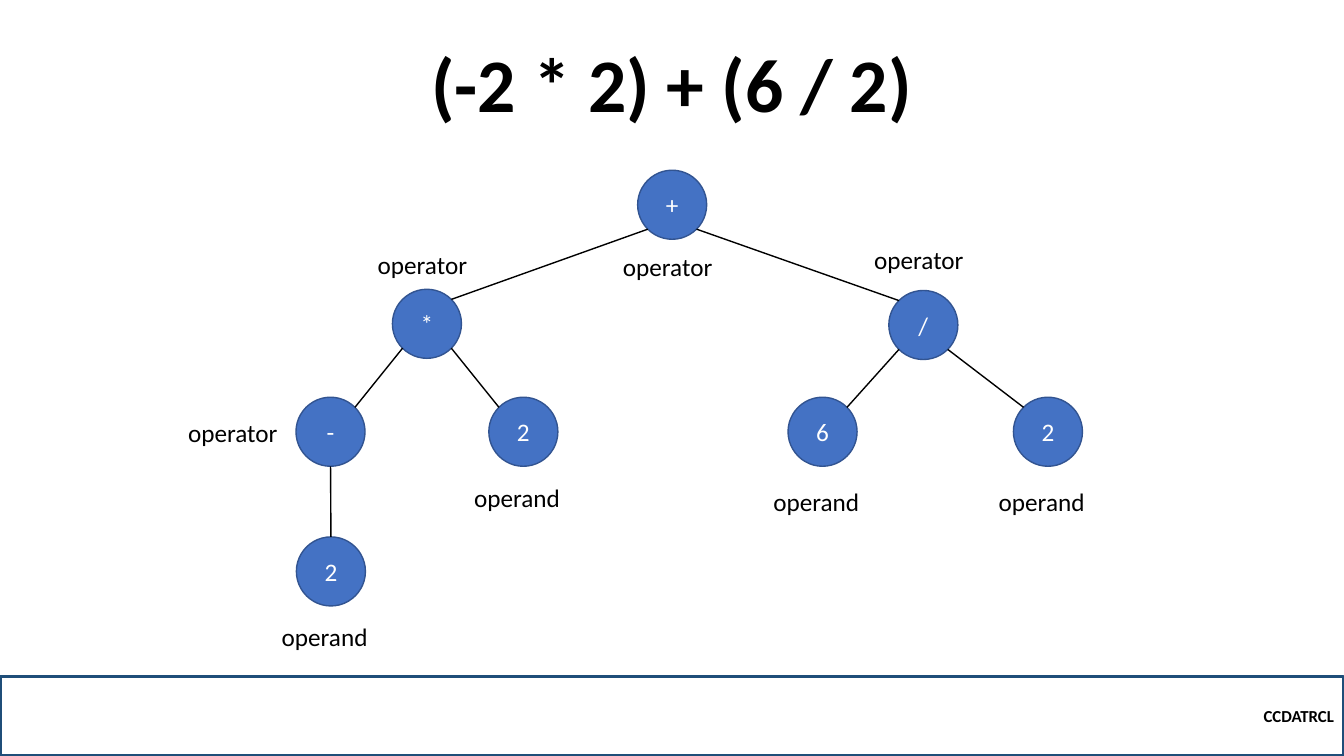
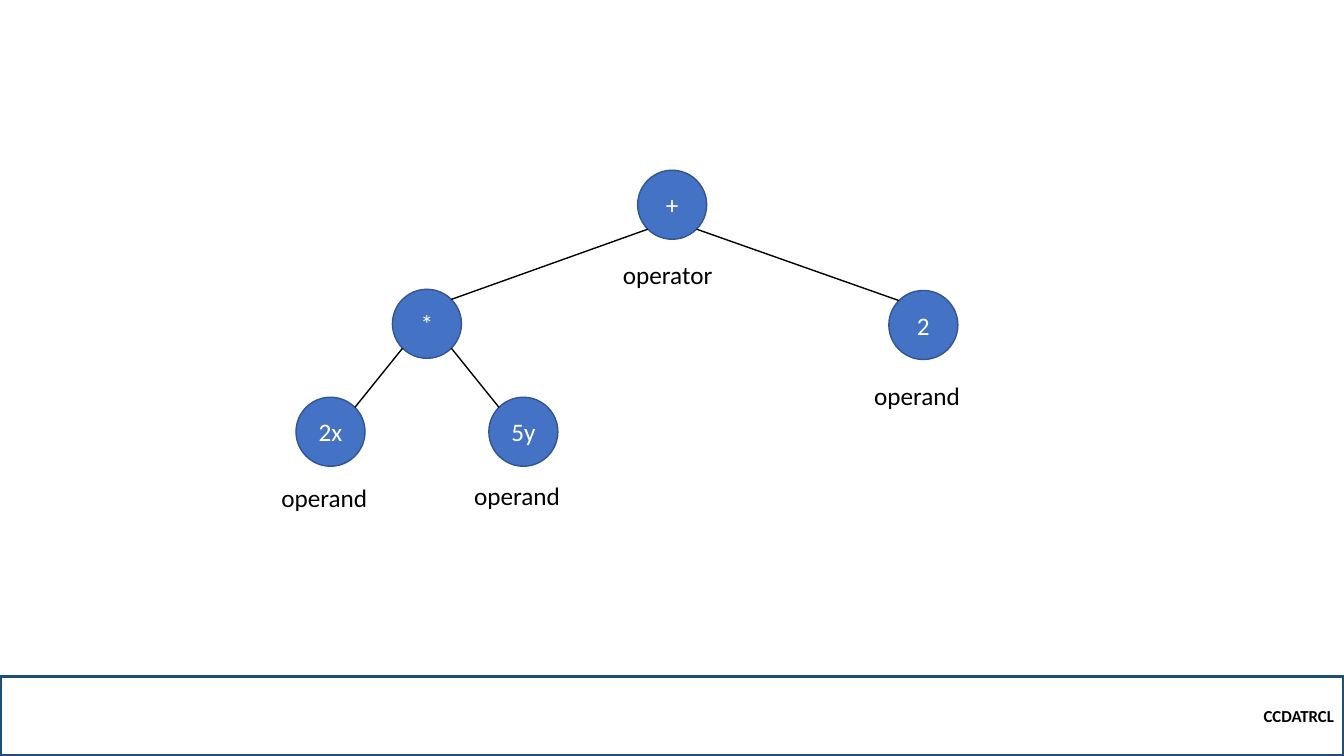
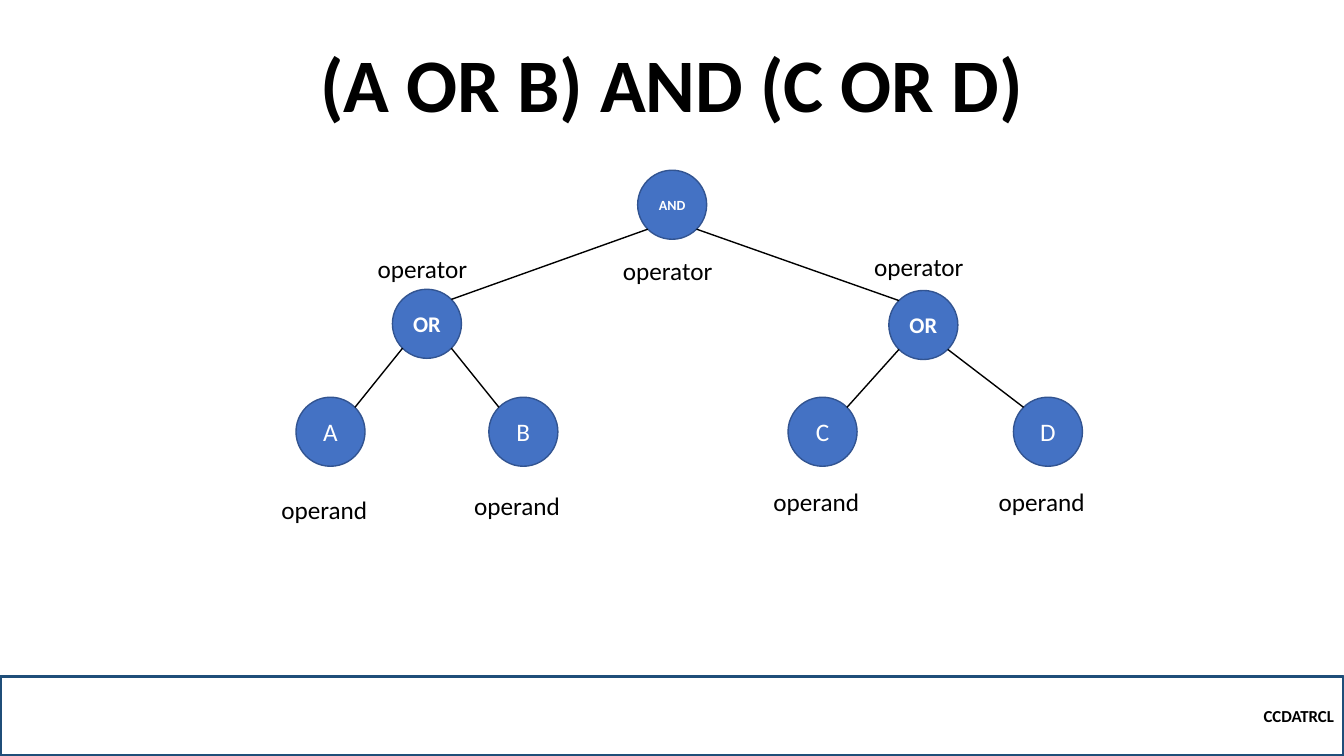
from lxml import etree
from pptx import Presentation
from pptx.dml.color import RGBColor
from pptx.enum import shapes, text
from pptx.oxml.ns import qn
from pptx.util import Cm, Pt

COLORS = {"ink": "000000", "node": "4472C4", "edge": "325491", "band": "1F4E79", "light": "FFFFFF"}
FONT = "Calibri"
FOOTER = "CCDATRCL"
WIDTH, HEIGHT = 33.87, 19.05
BAND_HEIGHT = 2.01
DIAMETER = 1.74
LABEL_WIDTH, LABEL_HEIGHT = 2.97, 1.03
LABEL_SHIFT = -0.62
BESIDE_SHIFT = -LABEL_WIDTH

SPOTS = {
    "root": (16.07, 4.29),
    "left": (9.89, 7.29),
    "right": (22.4, 7.32),
    "left left": (7.46, 10.01),
    "left right": (12.32, 10.01),
    "right left": (19.86, 10.01),
    "right right": (25.54, 10.01),
    "left left only": (7.47, 13.53),
}
SIZES = {"AND": 10, "OR": 16}

TREES = [
    {
        "title": "(-2 * 2) + (6 / 2)",
        "nodes": [
            ("root", "+", "operator", 6.22),
            ("left", "*", "operator", 6.15),
            ("right", "/", "operator", 6.02),
            ("left left", "-", "operator", 10.39),
            ("left right", "2", "operand", 12.04),
            ("right left", "6", "operand", 12.13),
            ("right right", "2", "operand", 12.13),
            ("left left only", "2", "operand", 15.52),
        ],
        "beside": "left left",
    },
    {
        "nodes": [
            ("root", "+", "operator", 6.4),
            ("left", "*", None, None),
            ("right", "2", "operand", 9.47),
            ("left left", "2x", "operand", 12.04),
            ("left right", "5y", "operand", 11.99),
        ],
    },
    {
        "title": "(A OR B) AND (C OR D)",
        "nodes": [
            ("root", "AND", "operator", 6.32),
            ("left", "OR", "operator", 6.25),
            ("right", "OR", "operator", 6.22),
            ("left left", "A", "operand", 12.34),
            ("left right", "B", "operand", 12.22),
            ("right left", "C", "operand", 12.12),
            ("right right", "D", "operand", 12.12),
        ],
    },
]


def color(name):
    return RGBColor.from_string(COLORS[name])


def write(shape, words, size, ink="ink", bold=False, align=text.PP_ALIGN.LEFT,
          anchor=text.MSO_ANCHOR.MIDDLE):
    frame = shape.text_frame
    frame.word_wrap = True
    frame.vertical_anchor = anchor
    paragraph = frame.paragraphs[0]
    paragraph.text = words
    paragraph.alignment = align
    font = paragraph.font
    font.name, font.size, font.bold = FONT, Pt(size), bold
    font.color.rgb = color(ink)
    return paragraph


def add_box(slide, kind, box, line, width):
    shape = slide.shapes.add_shape(kind, *map(Cm, box))
    shape.shadow.inherit = False
    shape.line.color.rgb = color(line)
    shape.line.width = Pt(width)
    return shape


def add_title(slide, words):
    title = slide.shapes.add_textbox(Cm(4.23), Cm(1.37), Cm(25.4), Cm(2.01))
    paragraph = write(title, words, 54, bold=True, align=text.PP_ALIGN.CENTER,
                      anchor=text.MSO_ANCHOR.BOTTOM)
    paragraph.line_spacing = 0.9


def add_footer(slide):
    box = (0, HEIGHT - BAND_HEIGHT, WIDTH, BAND_HEIGHT)
    band = add_box(slide, shapes.MSO_SHAPE.RECTANGLE, box, "band", 2.25)
    band.fill.background()
    write(band, FOOTER, 12, bold=True, align=text.PP_ALIGN.RIGHT)


def add_node(slide, spot, words):
    node = add_box(slide, shapes.MSO_SHAPE.OVAL, (*SPOTS[spot], DIAMETER, DIAMETER), "edge", 1)
    node.fill.solid()
    node.fill.fore_color.rgb = color("node")
    frame = node.text_frame
    frame.margin_left = frame.margin_right = 0
    write(node, words, SIZES.get(words, 18), "light", words in SIZES, text.PP_ALIGN.CENTER)


def rim_point(spot, across, down):
    left, top = SPOTS[spot]
    reach = DIAMETER / 2 * (0.5 ** 0.5 if across else 1)
    return Cm(left + DIAMETER / 2 + across * reach), Cm(top + DIAMETER / 2 + down * reach)


def add_branch(slide, child):
    parent, _, side = child.rpartition(" ")
    across = {"left": -1, "right": 1, "only": 0}[side]
    start = rim_point(parent or "root", across, 1)
    end = rim_point(child, -across, -1)
    branch = slide.shapes.add_connector(shapes.MSO_CONNECTOR.STRAIGHT, *start, *end)
    branch.line.color.rgb = color("ink")
    branch.line.width = Pt(1)
    etree.SubElement(branch.line._get_or_add_ln().getparent(), qn("a:effectLst"))


def add_label(slide, spot, words, top, shift):
    left = SPOTS[spot][0] + shift
    label = slide.shapes.add_textbox(Cm(left), Cm(top), Cm(LABEL_WIDTH), Cm(LABEL_HEIGHT))
    write(label, words, 18, anchor=text.MSO_ANCHOR.TOP)


presentation = Presentation()
presentation.slide_width, presentation.slide_height = Cm(WIDTH), Cm(HEIGHT)

for tree in TREES:
    slide = presentation.slides.add_slide(presentation.slide_layouts[6])
    if "title" in tree:
        add_title(slide, tree["title"])
    add_footer(slide)
    for spot, words, role, label_top in tree["nodes"]:
        add_node(slide, spot, words)
        if spot != "root":
            add_branch(slide, spot)
        if role:
            shift = BESIDE_SHIFT if spot == tree.get("beside") else LABEL_SHIFT
            add_label(slide, spot, role, label_top, shift)

presentation.save("out.pptx")
